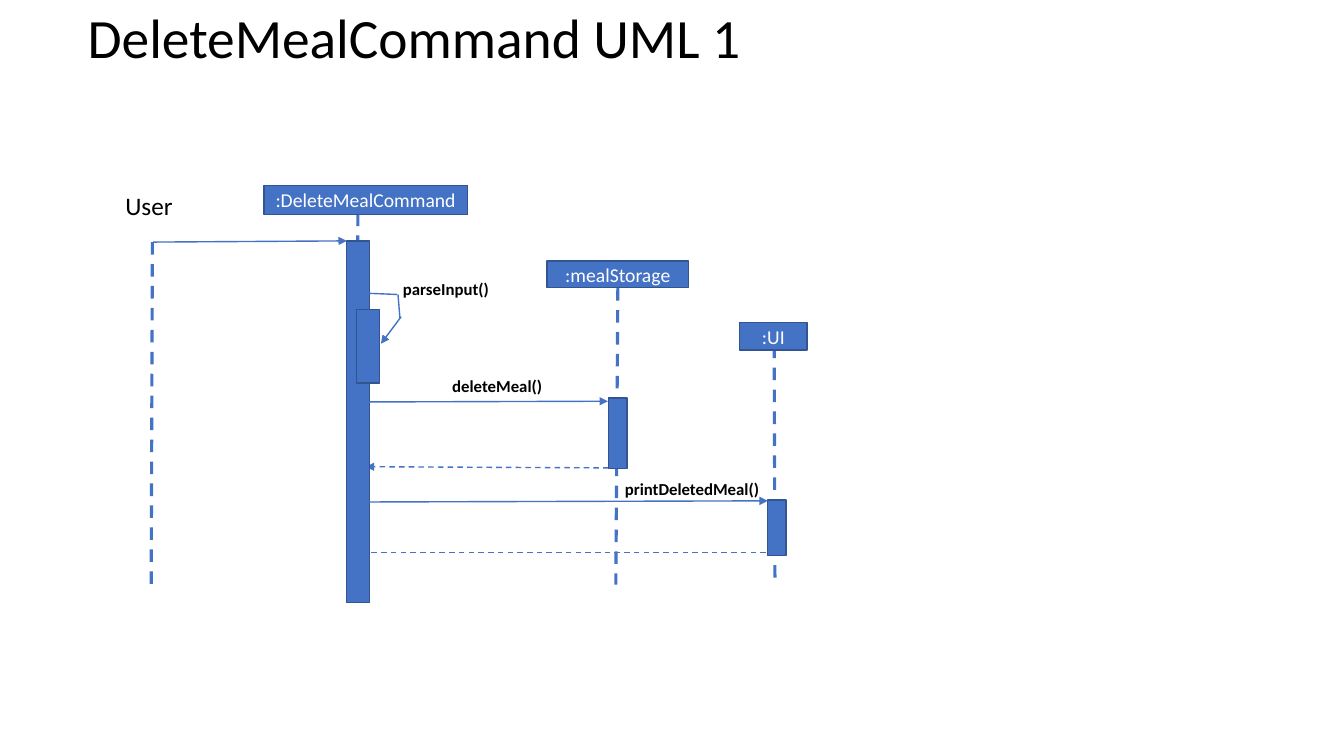
"""Build the DeleteMealCommand sequence diagram slide."""
from dataclasses import dataclass

from lxml import etree
from pptx import Presentation
from pptx.dml.color import RGBColor
from pptx.enum.dml import MSO_LINE
from pptx.enum.shapes import MSO_CONNECTOR, MSO_SHAPE
from pptx.enum.text import MSO_ANCHOR, PP_ALIGN
from pptx.oxml.ns import qn
from pptx.util import Cm, Pt

STRAIGHT = MSO_CONNECTOR.STRAIGHT
RECTANGLE = MSO_SHAPE.RECTANGLE
DASH = MSO_LINE.DASH
TOP, MIDDLE = MSO_ANCHOR.TOP, MSO_ANCHOR.MIDDLE
LEFT, CENTER = PP_ALIGN.LEFT, PP_ALIGN.CENTER


@dataclass(frozen=True)
class Theme:
    """Colours, font and sizes used on the slide."""
    blue: RGBColor = RGBColor(0x44, 0x72, 0xC4)
    outline: RGBColor = RGBColor(0x32, 0x54, 0x91)
    black: RGBColor = RGBColor(0, 0, 0)
    white: RGBColor = RGBColor(0xFF, 0xFF, 0xFF)
    font: str = "Calibri"
    title: float = 39.6
    actor: float = 18
    participant: float = 14
    message: float = 12
    thin: float = 1
    thick: float = 2.25


THEME = Theme()

LIFELINES = [
    (3.84, 6.1, 3.81, 14.76),
    (9.02, 5.38, 8.94, 14.58),
    (19.51, 8.71, 19.53, 14.78),
    (15.57, 7.26, 15.52, 14.73),
]
PARTICIPANTS = [
    (":DeleteMealCommand", 6.65, 4.67, 5.13, 0.74),
    (":mealStorage", 13.79, 6.58, 3.56, 0.66),
    (":UI", 18.64, 8.13, 1.7, 0.69),
]
RETURNS = [(19.3, 13.92, 8.99, 13.92), (15.34, 11.79, 9.22, 11.76)]
ACTIVATIONS = [
    (8.74, 6.07, 0.58, 9.12),
    (8.99, 7.8, 0.58, 1.85),
    (15.34, 10.03, 0.46, 1.78),
    (19.35, 12.6, 0.46, 1.4),
]
CALLS = [
    (3.86, 6.1, 8.74, 6.07),
    (8.74, 10.13, 15.32, 10.11),
    (8.94, 12.65, 19.35, 12.62),
]
SELF_CALL = [
    (9.25, 7.39, 10.01, 7.42),
    (10.03, 7.42, 10.08, 8.03),
    (10.11, 7.98, 9.6, 8.66),
]
MESSAGES = [
    ("parseInput()", 9.88, 6.91, 2.72, 0.76),
    ("deleteMeal()", 11.07, 9.35, 2.92, 0.76),
    ("printDeletedMeal()", 15.47, 11.94, 3.94, 0.76),
]


def write_text(shape, text, *, size, color=THEME.black, bold=False,
               align=CENTER, anchor=TOP, spacing=1.0):
    """Put one formatted paragraph into a shape."""
    frame = shape.text_frame
    frame.word_wrap = True
    frame.vertical_anchor = anchor
    para = frame.paragraphs[0]
    para.alignment = align
    para.line_spacing = spacing
    span = para.add_run()
    span.text = text
    span.font.name = THEME.font
    span.font.size = Pt(size)
    span.font.bold = bold
    span.font.color.rgb = color


def add_label(page, text, *place, **style):
    """Add a text box with one paragraph."""
    box = page.shapes.add_textbox(*map(Cm, place))
    write_text(box, text, **style)


def add_bar(page, *place):
    """Add a blue outlined rectangle."""
    bar = page.shapes.add_shape(RECTANGLE, *map(Cm, place))
    bar.shadow.inherit = False
    bar.fill.solid()
    bar.fill.fore_color.rgb = THEME.blue
    bar.line.color.rgb = THEME.outline
    bar.line.width = Pt(THEME.thin)
    return bar


def add_participant(page, name, *place):
    """Add a named participant box."""
    box = add_bar(page, *place)
    box.text_frame.margin_left = box.text_frame.margin_right = 0
    write_text(box, name, size=THEME.participant, color=THEME.white,
               anchor=MIDDLE)


def add_line(page, *ends, width=THEME.thin, dashed=False, arrow=False):
    """Add a straight line, dashed or with an arrowhead if asked."""
    line = page.shapes.add_connector(STRAIGHT, *map(Cm, ends))
    line.line.color.rgb = THEME.blue
    line.line.width = Pt(width)
    if dashed:
        line.line.dash_style = DASH
    properties = line._element.spPr
    if arrow:
        etree.SubElement(properties.find(qn("a:ln")), qn("a:tailEnd"),
                         type="triangle")
    etree.SubElement(properties, qn("a:effectLst"))


def main():
    """Build and save the slide."""
    deck = Presentation()
    deck.slide_width, deck.slide_height = Cm(33.87), Cm(19.05)
    page = deck.slides.add_slide(deck.slide_layouts[6])

    add_label(page, "DeleteMealCommand UML 1", 1.96, 0.46, 29.21, 1.14,
              size=THEME.title, align=LEFT, anchor=MIDDLE, spacing=0.9)
    add_label(page, "User", 2.46, 4.67, 2.59, 1.02, size=THEME.actor)
    for ends in LIFELINES:
        add_line(page, *ends, width=THEME.thick, dashed=True)
    for participant in PARTICIPANTS:
        add_participant(page, *participant)
    for ends in RETURNS:
        add_line(page, *ends, dashed=True, arrow=True)
    for place in ACTIVATIONS:
        add_bar(page, *place)
    for ends in CALLS:
        add_line(page, *ends, arrow=True)
    for ends in SELF_CALL:
        add_line(page, *ends, arrow=ends == SELF_CALL[-1])
    for message in MESSAGES:
        add_label(page, *message, size=THEME.message, bold=True)

    deck.save("out.pptx")


if __name__ == "__main__":
    main()
